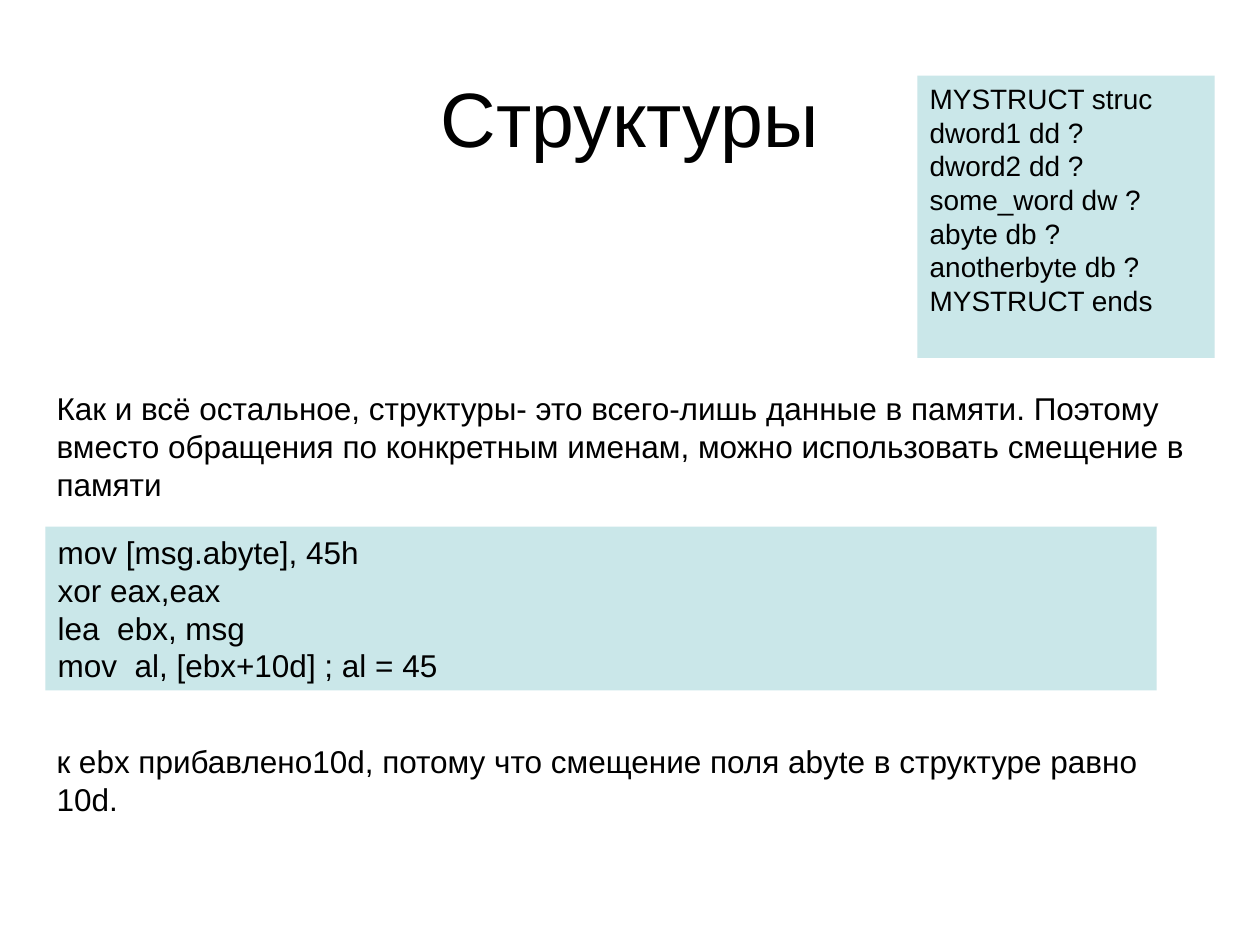
from pptx import Presentation
from pptx.dml.color import RGBColor
from pptx.enum.shapes import MSO_SHAPE
from pptx.enum.text import MSO_ANCHOR, PP_ALIGN
from pptx.oxml.ns import qn
from pptx.oxml.xmlchemy import OxmlElement
from pptx.util import Pt

BLACK = RGBColor(0x00, 0x00, 0x00)
PALE_TEAL = RGBColor(0xBB, 0xE0, 0xE3)
RECTANGLE = MSO_SHAPE.RECTANGLE
TOP, MIDDLE = MSO_ANCHOR.TOP, MSO_ANCHOR.MIDDLE
LEFT, CENTER = PP_ALIGN.LEFT, PP_ALIGN.CENTER
BLANK_LAYOUT = 6

STRUCTURE_CODE = [
    "MYSTRUCT struc",
    "dword1 dd ?",
    "dword2 dd ?",
    "some_word dw ?",
    "abyte db ?",
    "anotherbyte db ?",
    "MYSTRUCT ends",
]
OFFSET_CODE = [
    "mov [msg.abyte], 45h",
    "xor eax,eax",
    "lea  ebx, msg",
    "mov  al, [ebx+10d] ; al = 45",
]
MEMORY_NOTE = (
    "Как и всё остальное, структуры- это всего-лишь данные в памяти. "
    "Поэтому вместо обращения по конкретным именам, "
    "можно использовать смещение в памяти"
)
OFFSET_NOTE = (
    "к ebx прибавлено10d, потому что смещение поля abyte "
    "в структуре равно 10d."
)


def apply_format(target, values):
    for name, value in values.items():
        setattr(target, name, value)


class SlideBuilder:
    font_format = {"name": "Arial"}
    frame_format = {
        "word_wrap": True,
        "margin_left": Pt(7.2),
        "margin_right": Pt(7.2),
        "margin_top": Pt(3.6),
        "margin_bottom": Pt(3.6),
    }
    code_opacity = 77

    def __init__(self, slide):
        self.slide = slide

    def fill_text(self, shape, lines, size, alignment=LEFT, anchor=TOP):
        frame = shape.text_frame
        apply_format(frame, {**self.frame_format, "vertical_anchor": anchor})
        frame.text = "\n".join(lines)
        for paragraph in frame.paragraphs:
            paragraph.alignment = alignment
            for run in paragraph.runs:
                apply_format(run.font, {**self.font_format, "size": Pt(size)})
                run.font.color.rgb = BLACK

    def text(self, box, content, size=18, **layout):
        shape = self.slide.shapes.add_textbox(*map(Pt, box))
        self.fill_text(shape, [content], size, **layout)

    def code(self, box, lines, size=18):
        shape = self.slide.shapes.add_shape(RECTANGLE, *map(Pt, box))
        shape.shadow.inherit = False
        shape.line.fill.background()
        shape.fill.solid()
        shape.fill.fore_color.rgb = PALE_TEAL
        alpha = OxmlElement("a:alpha")
        alpha.set("val", str(self.code_opacity * 1000))
        shape.element.spPr.find(f".//{qn('a:srgbClr')}").append(alpha)
        self.fill_text(shape, lines, size)


def main():
    presentation = Presentation()
    presentation.slide_width = Pt(720)
    presentation.slide_height = Pt(540)
    layout = presentation.slide_layouts[BLANK_LAYOUT]
    builder = SlideBuilder(presentation.slides.add_slide(layout))

    builder.text((36, 21.6, 648, 90), "Структуры", 44,
                 alignment=CENTER, anchor=MIDDLE)
    builder.text((25.2, 218.9, 668.9, 72), MEMORY_NOTE)
    builder.code((25.9, 301, 635, 93.6), OFFSET_CODE)
    builder.code((524.2, 43.2, 169.9, 161.3), STRUCTURE_CODE, 16)
    builder.text((25.2, 420.5, 668.9, 50.4), OFFSET_NOTE)

    presentation.save("out.pptx")


if __name__ == "__main__":
    main()
